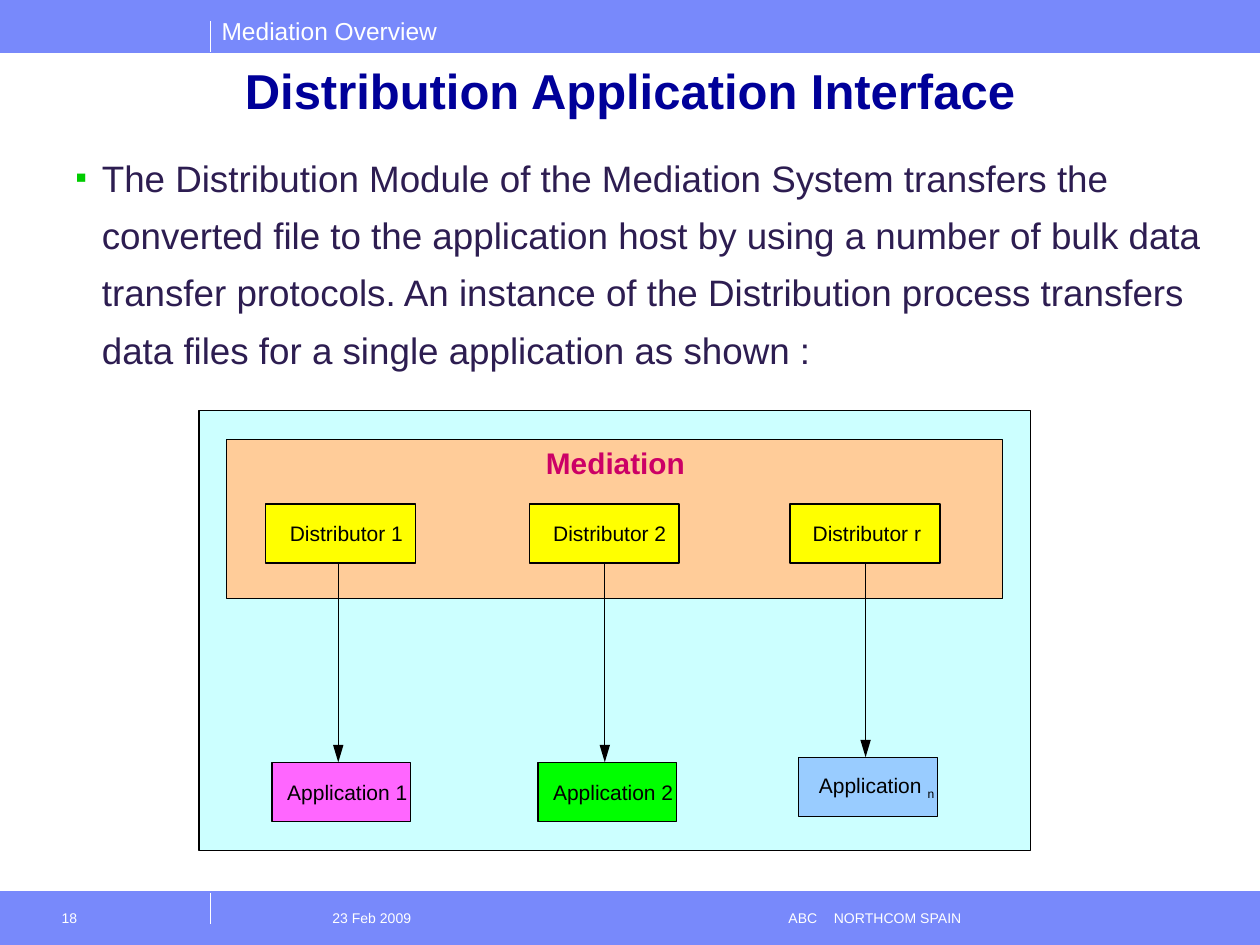
from dataclasses import dataclass

from lxml.etree import SubElement
from pptx import Presentation
from pptx.dml.color import RGBColor
from pptx.enum.shapes import MSO_CONNECTOR, MSO_SHAPE
from pptx.enum.text import MSO_ANCHOR, PP_ALIGN
from pptx.oxml.ns import qn
from pptx.util import Inches, Pt

COLUMNS, ROWS = 100, 75
SLIDE_WIDTH, SLIDE_HEIGHT = Inches(10), Inches(7.5)

WHITE = RGBColor(0xFF, 0xFF, 0xFF)
BLACK = RGBColor(0, 0, 0)
BAND_BLUE = RGBColor(0x78, 0x89, 0xFB)
TITLE_BLUE = RGBColor(0, 0, 0x99)
BODY_PURPLE = RGBColor(0x2D, 0x1D, 0x51)
BULLET_GREEN = RGBColor(0, 0xCC, 0)
HOST_CYAN = RGBColor(0xCC, 0xFF, 0xFF)
MEDIATION_ORANGE = RGBColor(0xFF, 0xCC, 0x99)
MEDIATION_RED = RGBColor(0xCC, 0, 0x66)
DISTRIBUTOR_YELLOW = RGBColor(0xFF, 0xFF, 0)
PINK = RGBColor(0xFF, 0x66, 0xFF)
GREEN = RGBColor(0, 0xFF, 0)
SKY = RGBColor(0x99, 0xCC, 0xFF)


@dataclass(frozen=True)
class Area:
    """A rectangle in grid columns and rows."""
    column: float
    row: float
    columns: float
    rows: float

    def lengths(self) -> tuple[int, int, int, int]:
        return (across(self.column), down(self.row),
                across(self.columns), down(self.rows))


@dataclass(frozen=True)
class TextStyle:
    size: float
    color: RGBColor
    bold: bool = False
    align: PP_ALIGN = PP_ALIGN.LEFT


@dataclass(frozen=True)
class Transfer:
    """A distributor, the application it feeds and the arrow between them."""
    distributor: str
    distributor_column: float
    distributor_indent: float
    application: str
    subscript: str
    application_column: float
    application_row: float
    application_indent: float
    color: RGBColor
    arrow_column: float


DISTRIBUTOR_ROW, BOX_ROWS = 40, 4.7
DISTRIBUTOR_COLUMNS, APPLICATION_COLUMNS = 11.9, 11
FOOTER_STYLE = TextStyle(8, WHITE)
LABEL_STYLE = TextStyle(12, BLACK)
BODY = (
    "The Distribution Module of the Mediation System transfers the converted file "
    "to the application host by using a number of bulk data transfer protocols. "
    "An instance of the Distribution process transfers data files for a single "
    "application as shown :"
)
TRANSFERS = (
    Transfer("Distributor 1", 21.1, 1.9, "Application 1", "", 21.6, 60.5, 1.2, PINK, 26.85),
    Transfer("Distributor 2", 42, 1.9, "Application 2", "", 42.7, 60.5, 1.2, GREEN, 48),
    Transfer("Distributor r", 62.7, 1.8, "Application ", "n", 63.4, 60.1, 1.6, SKY, 68.7),
)


def across(columns: float) -> int:
    return round(SLIDE_WIDTH * columns / COLUMNS)


def down(rows: float) -> int:
    return round(SLIDE_HEIGHT * rows / ROWS)


def set_margins(frame, left: float, top: float, right: float, bottom: float) -> None:
    frame.margin_left, frame.margin_right = across(left), across(right)
    frame.margin_top, frame.margin_bottom = down(top), down(bottom)


def write(frame, text: str, style: TextStyle):
    paragraph = frame.paragraphs[0]
    paragraph.add_run().text = text
    paragraph.alignment = style.align
    font = paragraph.font
    font.name, font.size, font.bold = "Arial", Pt(style.size), style.bold
    font.color.rgb = style.color
    return paragraph


def add_text(slide, area: Area, text: str, style: TextStyle, wrap: bool = True,
             margins: tuple[float, float, float, float] = (1, 0.5, 1, 0.5)):
    frame = slide.shapes.add_textbox(*area.lengths()).text_frame
    frame.word_wrap = wrap
    set_margins(frame, *margins)
    return write(frame, text, style)


def add_box(slide, area: Area, fill: RGBColor, line: RGBColor = BLACK):
    box = slide.shapes.add_shape(MSO_SHAPE.RECTANGLE, *area.lengths())
    box.shadow.inherit = False
    box.fill.solid()
    box.fill.fore_color.rgb = fill
    box.line.color.rgb = line
    box.line.width = Pt(0.75)
    return box


def add_labelled_box(slide, area: Area, fill: RGBColor, label: str, indent: float):
    frame = add_box(slide, area, fill).text_frame
    frame.word_wrap = True
    frame.vertical_anchor = MSO_ANCHOR.MIDDLE
    set_margins(frame, indent, 0, 0, 0)
    return write(frame, label, LABEL_STYLE)


def add_line(slide, start: tuple[float, float], end: tuple[float, float],
             color: RGBColor, width: float = 0.75, arrow: bool = False) -> None:
    line = slide.shapes.add_connector(
        MSO_CONNECTOR.STRAIGHT,
        across(start[0]), down(start[1]), across(end[0]), down(end[1]))
    line.line.color.rgb = color
    line.line.width = Pt(width)
    if arrow:
        SubElement(line.line._get_or_add_ln(), qn("a:tailEnd"),
                   type="triangle", w="med", len="lg")
    SubElement(line._element.spPr, qn("a:effectLst"))


def set_bullet(paragraph, character: str, color: RGBColor) -> None:
    properties = paragraph._p.get_or_add_pPr()
    properties.set("marL", str(across(3.8)))
    properties.set("indent", str(-across(2.1)))
    bullet_color = SubElement(properties, qn("a:buClr"))
    SubElement(bullet_color, qn("a:srgbClr"), val=str(color))
    SubElement(properties, qn("a:buSzPct"), val="90000")
    SubElement(properties, qn("a:buFont"), typeface="Arial")
    SubElement(properties, qn("a:buChar"), char=character)
    properties.append(properties.find(qn("a:defRPr")))


def set_tabs(paragraph, *columns: float) -> None:
    properties = paragraph._p.get_or_add_pPr()
    stops = SubElement(properties, qn("a:tabLst"))
    for column in columns:
        SubElement(stops, qn("a:tab"), pos=str(across(column)), algn="l")
    properties.append(properties.find(qn("a:defRPr")))


def add_bands(slide) -> None:
    for band_row in (70.8, -0.1):
        add_box(slide, Area(0, band_row, COLUMNS, 4.2), BAND_BLUE, BAND_BLUE)
    add_text(slide, Area(16.6, 0.8, 19.1, 3.4), "Mediation Overview",
             TextStyle(14, WHITE), wrap=False)
    for tick_row in (1.7, 70.8):
        add_line(slide, (16.7, tick_row + 2.5), (16.7, tick_row), WHITE)
    for edge_row in (4.2, 70.8):
        add_line(slide, (0, edge_row), (COLUMNS, edge_row), BAND_BLUE, 0.5)
    footer = add_text(slide, Area(18.3, 71.5, 60, 3.5),
                      "\t23 Feb 2009\tABC\tNORTHCOM SPAIN",
                      FOOTER_STYLE, margins=(1, 0.7, 1, 0.5))
    set_tabs(footer, 7.1, 43.3, 46.9)
    add_text(slide, Area(3.3, 71.5, 13.3, 3.5), "18", FOOTER_STYLE,
             margins=(1.6, 0.7, 1, 0.5))


def add_transfer(slide, transfer: Transfer) -> None:
    add_labelled_box(
        slide, Area(transfer.distributor_column, DISTRIBUTOR_ROW, DISTRIBUTOR_COLUMNS, BOX_ROWS),
        DISTRIBUTOR_YELLOW, transfer.distributor, transfer.distributor_indent)
    label = add_labelled_box(
        slide, Area(transfer.application_column, transfer.application_row,
                    APPLICATION_COLUMNS, BOX_ROWS),
        transfer.color, transfer.application, transfer.application_indent)
    if transfer.subscript:
        subscript = label.add_run()
        subscript.text = transfer.subscript
        subscript.font._element.set("baseline", "-25000")
    add_line(slide, (transfer.arrow_column, DISTRIBUTOR_ROW + BOX_ROWS),
             (transfer.arrow_column, transfer.application_row), BLACK, arrow=True)


def main() -> None:
    presentation = Presentation()
    presentation.slide_width, presentation.slide_height = SLIDE_WIDTH, SLIDE_HEIGHT
    slide = presentation.slides.add_slide(presentation.slide_layouts[6])
    add_bands(slide)
    add_text(slide, Area(5, 4.3, 90, 5.7), "Distribution Application Interface",
             TextStyle(28, TITLE_BLUE, bold=True, align=PP_ALIGN.CENTER))
    body = add_text(slide, Area(3.3, 10.8, 94.2, 24.5), BODY, TextStyle(21, BODY_PURPLE))
    body.line_spacing, body.space_before = 1.3, Pt(13.1)
    set_bullet(body, "▪", BULLET_GREEN)
    add_box(slide, Area(15.8, 32.6, 66, 34.9), HOST_CYAN)
    add_box(slide, Area(18, 34.9, 61.6, 12.6), MEDIATION_ORANGE)
    add_text(slide, Area(43.3, 35.3, 11.1, 2.8), "Mediation",
             TextStyle(17, MEDIATION_RED, bold=True, align=PP_ALIGN.CENTER),
             wrap=False, margins=(0, 0, 0, 0))
    for transfer in TRANSFERS:
        add_transfer(slide, transfer)
    presentation.save("out.pptx")


if __name__ == "__main__":
    main()
